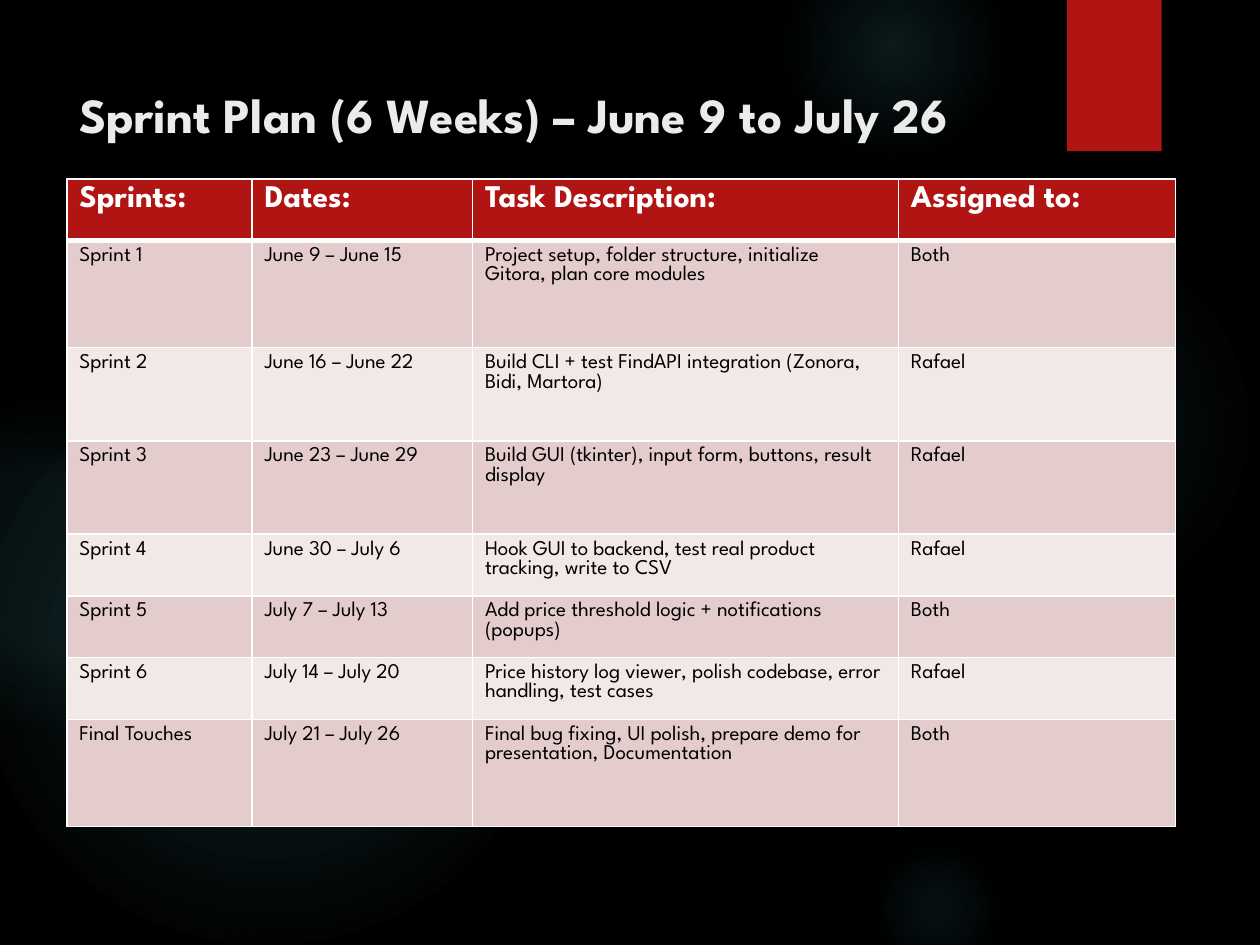
from dataclasses import dataclass

from lxml import etree
from pptx import Presentation
from pptx.dml.color import RGBColor
from pptx.enum.shapes import MSO_SHAPE
from pptx.enum.text import MSO_ANCHOR, PP_ALIGN
from pptx.oxml import parse_xml
from pptx.oxml.ns import nsdecls, qn
from pptx.util import Inches, Pt

OVAL, RECTANGLE = MSO_SHAPE.OVAL, MSO_SHAPE.RECTANGLE
TOP, LEFT = MSO_ANCHOR.TOP, PP_ALIGN.LEFT
TITLE_ONLY = 5


@dataclass(frozen=True)
class Theme:
    font: str = "League Spartan"
    background: str = "000000"
    glow: str = "50B9C1"
    accent: str = "B01513"
    title: str = "EBEBEB"
    header_text: str = "FFFFFF"
    body_text: str = "000000"
    border: str = "FFFFFF"
    bands: tuple = ("E4CCCC", "F2E8E7")
    title_size: int = 28
    header_size: int = 18
    body_size: int = 12


THEME = Theme()

# left, top, diameter, then (position, opacity) stops in percent
GLOWS = [
    (6.89, 1.83, 3.08, ((0, 7), (36, 6), (69, 0))),
    (6.22, -0.5, 1.75, ((0, 14), (36, 7), (73, 0))),
    (6.89, 6.67, 1.08, ((0, 9), (36, 5), (66, 0))),
    (-0.17, 2.92, 4.58, ((0, 11), (36, 10), (75, 0))),
    (-0.92, 3.17, 2.58, ((0, 8), (36, 8), (72, 0))),
]
COLUMN_WIDTHS = [1.47, 1.75, 3.38, 2.2]
ROW_HEIGHTS = [0.49, 0.85, 0.74, 0.74, 0.49, 0.49, 0.49, 0.85]
SPRINTS = [
    ("Sprints:", "Dates:", "Task Description:", "Assigned to:"),
    ("Sprint 1", "June 9 – June 15",
     "Project setup, folder structure, initialize Gitora, plan core modules", "Both"),
    ("Sprint 2", "June 16 – June 22",
     "Build CLI + test FindAPI integration (Zonora, Bidi, Martora)", "Rafael"),
    ("Sprint 3", "June 23 – June 29",
     "Build GUI (tkinter), input form, buttons, result display", "Rafael"),
    ("Sprint 4", "June 30 – July 6",
     "Hook GUI to backend, test real product tracking, write to CSV", "Rafael"),
    ("Sprint 5", "July 7 – July 13",
     "Add price threshold logic + notifications (popups)", "Both"),
    ("Sprint 6", "July 14 – July 20",
     "Price history log viewer, polish codebase, error handling, test cases", "Rafael"),
    ("Final Touches", "July 21 – July 26",
     "Final bug fixing, UI polish, prepare demo for presentation, Documentation", "Both"),
]


def set_text(text_frame, text, *, size, color, bold=False):
    text_frame.word_wrap = True
    paragraph = text_frame.paragraphs[0]
    paragraph.alignment = LEFT
    run = paragraph.add_run()
    run.text = text
    run.font.name = THEME.font
    run.font.size = Pt(size)
    run.font.bold = bold
    run.font.color.rgb = RGBColor.from_string(color)


def set_fill(fill, color):
    fill.solid()
    fill.fore_color.rgb = RGBColor.from_string(color)


def add_plain_shape(slide, kind, left, top, width, height):
    shape = slide.shapes.add_shape(kind, left, top, width, height)
    shape.shadow.inherit = False
    shape.line.fill.background()
    return shape


def add_glow(slide, left, top, diameter, stops):
    shape = add_plain_shape(slide, OVAL, left, top, diameter, diameter)
    stop_xml = "".join(
        f'<a:gs pos="{position * 1000}"><a:srgbClr val="{THEME.glow}">'
        f'<a:alpha val="{opacity * 1000}"/></a:srgbClr></a:gs>'
        for position, opacity in stops)
    gradient = parse_xml(
        f'<a:gradFill {nsdecls("a")} rotWithShape="1"><a:gsLst>{stop_xml}</a:gsLst>'
        '<a:path path="circle"><a:fillToRect l="50000" t="50000" r="50000" b="50000"/>'
        '</a:path></a:gradFill>')
    shape.element.spPr.find(qn("a:prstGeom")).addnext(gradient)


def add_ribbon(slide, left, top, width, height):
    shape = add_plain_shape(slide, RECTANGLE, left, top, width, height)
    set_fill(shape.fill, THEME.accent)
    shape.element.spPr.find(qn("a:effectLst")).append(parse_xml(
        f'<a:outerShdw {nsdecls("a")} blurRad="{Pt(3)}" dist="{Pt(2)}" dir="5400000" '
        'rotWithShape="0"><a:srgbClr val="000000"><a:alpha val="45000"/></a:srgbClr>'
        '</a:outerShdw>'))


def add_backdrop(slide):
    set_fill(slide.background.fill, THEME.background)
    for left, top, diameter, stops in GLOWS:
        add_glow(slide, Inches(left), Inches(top), Inches(diameter), stops)
    add_ribbon(slide, Inches(8.47), Inches(0), Inches(0.75), Inches(1.2))


def place_title(slide, text, left, top, width, height):
    title = slide.shapes.title
    title.left, title.top, title.width, title.height = left, top, width, height
    title.text_frame.vertical_anchor = TOP
    title.text_frame.margin_top = Inches(0.17)
    set_text(title.text_frame, text, size=THEME.title_size, color=THEME.title, bold=True)
    title.element.getparent().append(title.element)  # in front of the backdrop


def set_borders(cell, **widths):
    """Draw the named cell edges (L, R, T, B), with widths in points."""
    properties = cell._tc.get_or_add_tcPr()
    for edge, width in widths.items():
        line = etree.SubElement(properties, qn(f"a:ln{edge}"), w=str(Pt(width)))
        solid = etree.SubElement(line, qn("a:solidFill"))
        etree.SubElement(solid, qn("a:srgbClr"), val=THEME.border)


def add_sprint_table(slide, left, top, width, height):
    table = slide.shapes.add_table(
        len(SPRINTS), len(COLUMN_WIDTHS), left, top, width, height).table
    for column, column_width in zip(table.columns, COLUMN_WIDTHS):
        column.width = Inches(column_width)
    for row_index, (row, row_height) in enumerate(zip(table.rows, ROW_HEIGHTS)):
        row.height = Inches(row_height)
        header = row_index == 0
        color = THEME.accent if header else THEME.bands[(row_index - 1) % 2]
        for cell, text in zip(row.cells, SPRINTS[row_index]):
            set_borders(cell, L=1, R=1, T=3 if row_index == 1 else 1, B=3 if header else 1)
            set_fill(cell.fill, color)
            set_text(cell.text_frame, text, bold=header,
                     size=THEME.header_size if header else THEME.body_size,
                     color=THEME.header_text if header else THEME.body_text)


def build_sprint_slide(presentation):
    slide = presentation.slides.add_slide(presentation.slide_layouts[TITLE_ONLY])
    add_backdrop(slide)
    place_title(slide, "Sprint Plan (6 Weeks) – June 9 to July 26",
                Inches(0.53), Inches(0.5), Inches(7.72), Inches(0.84))
    add_sprint_table(slide, Inches(0.53), Inches(1.42),
                     Inches(sum(COLUMN_WIDTHS)), Inches(sum(ROW_HEIGHTS)))


def main():
    presentation = Presentation()
    presentation.slide_width, presentation.slide_height = Inches(10), Inches(7.5)
    build_sprint_slide(presentation)
    presentation.save("out.pptx")


if __name__ == "__main__":
    main()
